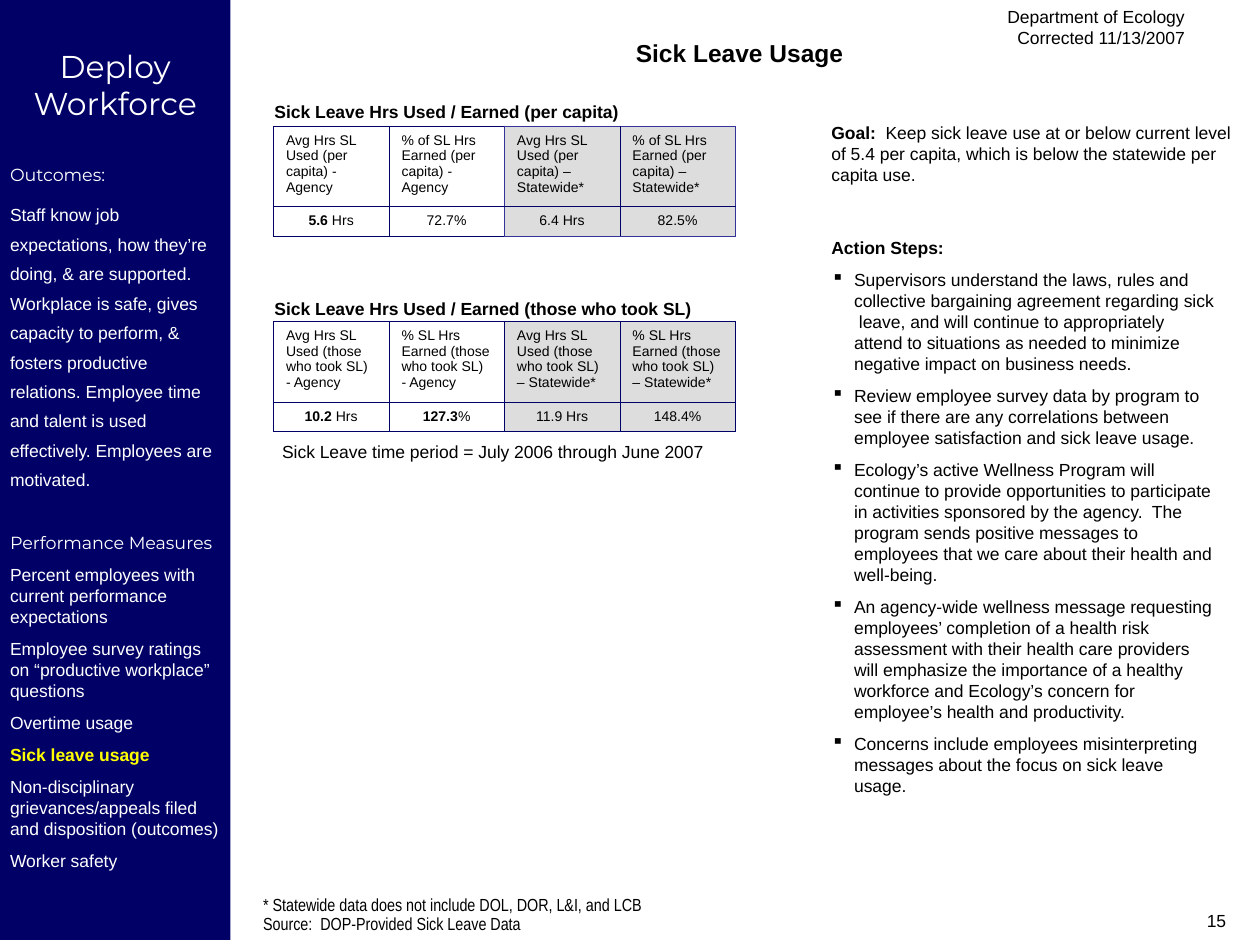
from dataclasses import dataclass
from typing import Optional

import pptx
import pptx.dml.color
import pptx.enum.shapes
import pptx.enum.text
import pptx.oxml
import pptx.oxml.ns
import pptx.util
from pptx.util import Inches

ALIGN = pptx.enum.text.PP_ALIGN
NAVY, INDIGO, GREY = "000066", "333399", "DDDDDD"
WHITE, BLACK, YELLOW = "FFFFFF", "000000", "FFFF00"
COL_W = 11 / 12
ROW_H = (0.64, 0.23)
HANG = 0.18


@dataclass
class Run:
    text: str
    bold: bool = False


@dataclass
class Para:
    runs: list[Run]
    size: float = 10
    font: str = "Arial"
    color: str = BLACK
    align: ALIGN = ALIGN.LEFT
    before: float = 0
    spacing: Optional[float] = None
    bullet: bool = False


@dataclass
class TextBox:
    frame: tuple[float, float, float, float]
    paras: list[Para]


@dataclass
class LeaveTable:
    col: int
    top: float
    heads: list[str]
    values: list[list[Run]]
    fill: str = WHITE
    edge: str = NAVY


def para(text: str, bold: bool = False, **style) -> Para:
    return Para([Run(text, bold)], **style)


def rgb(color: str) -> pptx.dml.color.RGBColor:
    return pptx.dml.color.RGBColor.from_string(color)


def add_bullet(p) -> None:
    pPr = p._p.get_or_add_pPr()
    pPr.set("marL", str(Inches(HANG)))
    pPr.set("indent", str(-Inches(HANG)))
    bu = pptx.oxml.parse_xml(f'<a:buChar {pptx.oxml.ns.nsdecls("a")} char="▪"/>')
    pPr.append(bu)


def write(tf, paras: list[Para]) -> None:
    tf.word_wrap = True
    for i, item in enumerate(paras):
        p = tf.add_paragraph() if i else tf.paragraphs[0]
        if item.bullet:
            add_bullet(p)
        p.alignment = item.align
        p.space_before = pptx.util.Pt(item.before)
        if item.spacing:
            p.line_spacing = item.spacing
        for run in item.runs:
            r = p.add_run()
            r.text = run.text
            r.font.size = pptx.util.Pt(item.size)
            r.font.name = item.font
            r.font.bold = run.bold
            r.font.color.rgb = rgb(item.color)


def add_text(s, box: TextBox) -> None:
    sp = s.shapes.add_textbox(*map(Inches, box.frame))
    write(sp.text_frame, box.paras)


def add_sidebar(s, paras: list[Para]) -> None:
    sp = s.shapes.add_shape(pptx.enum.shapes.MSO_SHAPE.RECTANGLE, 0, 0, Inches(1.83), Inches(7.46))
    sp.shadow.inherit = False
    sp.fill.solid()
    sp.fill.fore_color.rgb = rgb(NAVY)
    sp.line.fill.background()
    tf = sp.text_frame
    tf.vertical_anchor = pptx.enum.text.MSO_ANCHOR.TOP
    tf.margin_left = tf.margin_right = Inches(0.08)
    tf.margin_top, tf.margin_bottom = Inches(0.37), Inches(0.04)
    write(tf, paras)


def set_borders(cell, colors: dict[str, str]) -> None:
    tcPr = cell._tc.get_or_add_tcPr()
    for side, color in colors.items():
        tcPr.append(pptx.oxml.parse_xml(
            f'<a:ln{side} {pptx.oxml.ns.nsdecls("a")} w="{pptx.util.Pt(0.45)}">'
            f'<a:solidFill><a:srgbClr val="{color}"/></a:solidFill></a:ln{side}>'))


def add_leave_table(s, spec_: LeaveTable) -> None:
    """Draw a two-column table whose outer border may differ from its inner rules."""
    left = 2.17 + spec_.col * COL_W
    tbl = s.shapes.add_table(2, 2, Inches(left), Inches(spec_.top),
                             Inches(2 * COL_W), Inches(sum(ROW_H))).table
    tbl.first_row = tbl.horz_banding = False
    for row, height in zip(tbl.rows, ROW_H):
        row.height = Inches(height)
    for c in range(2):
        tbl.columns[c].width = Inches(COL_W)
        texts = (Para([Run(spec_.heads[c])], size=8),
                 Para(spec_.values[c], size=8, align=ALIGN.CENTER))
        for r, text in enumerate(texts):
            cell = tbl.cell(r, c)
            cell.margin_left = cell.margin_right = Inches(0.1)
            cell.margin_top = cell.margin_bottom = Inches(0.05)
            outer = {"L": c == 0, "R": c == 1, "T": r == 0, "B": r == 1}
            set_borders(cell, {k: spec_.edge if v else NAVY for k, v in outer.items()})
            cell.fill.solid()
            cell.fill.fore_color.rgb = rgb(spec_.fill)
            write(cell.text_frame, [text])


def side(text: str, bold: bool = False, **style) -> Para:
    return para(text, bold, **{"color": WHITE, "before": 6.2, **style})


SIDEBAR = [
    side("Deploy Workforce", size=18, font="Montserrat", align=ALIGN.CENTER, before=0),
    side("Outcomes:", font="Montserrat", before=24),
    side("Staff know job expectations, how they’re doing, & are supported. Workplace is safe, "
         "gives capacity to perform, & fosters productive relations. Employee time and talent "
         "is used effectively. Employees are motivated.", spacing=1.4),
    side("Performance Measures", font="Montserrat", before=24),
    side("Percent employees with current performance expectations"),
    side("Employee survey ratings on “productive workplace” questions"),
    side("Overtime usage"),
    side("Sick leave usage", True, color=YELLOW),
    side("Non-disciplinary grievances/appeals filed and disposition (outcomes)"),
    side("Worker safety"),
]

STEPS = [
    "Supervisors understand the laws, rules and collective bargaining agreement regarding sick  "
    "leave, and will continue to appropriately attend to situations as needed to minimize "
    "negative impact on business needs.",
    "Review employee survey data by program to see if there are any correlations between "
    "employee satisfaction and sick leave usage.",
    "Ecology’s active Wellness Program will continue to provide opportunities to participate in "
    "activities sponsored by the agency.  The program sends positive messages to employees that "
    "we care about their health and well-being.",
    "An agency-wide wellness message requesting employees’ completion of a health risk "
    "assessment with their health care providers will emphasize the importance of a healthy "
    "workforce and Ecology’s concern for employee’s health and productivity.",
    "Concerns include employees misinterpreting messages about the focus on sick leave usage.",
]

TEXTS = [
    TextBox((4.5, 0, 5, 0.25), [para("Department of Ecology", align=ALIGN.RIGHT),
                                para("Corrected 11/13/2007", align=ALIGN.RIGHT)]),
    TextBox((7.5, 7.17, 2.33, 0.33), [para("15", align=ALIGN.RIGHT)]),
    TextBox((6.5, 1.83, 3.25, 4.54), [para("Action Steps:", True)]
            + [para(step, before=6.2, bullet=True) for step in STEPS]),
    TextBox((2.08, 0.75, 3.17, 0.27), [para("Sick Leave Hrs Used / Earned (per capita)", True)]),
    TextBox((2.08, 2.32, 3.57, 0.27),
            [para("Sick Leave Hrs Used / Earned (those who took SL)", True)]),
    TextBox((2.14, 3.5, 3.78, 0.37),
            [para("Sick Leave time period = July 2006 through June 2007", spacing=0.7)]),
    TextBox((1.99, 7.09, 3.33, 0.37), [
        para("* Statewide data does not include DOL, DOR, L&I, and LCB",
             font="Arial Narrow", spacing=0.7),
        para("Source:  DOP-Provided Sick Leave Data",
             font="Arial Narrow", spacing=0.7, before=2.5)]),
    TextBox((1.83, 0.25, 8.08, 0.34),
            [para("Sick Leave Usage", True, size=14, align=ALIGN.CENTER)]),
    TextBox((6.5, 0.92, 3.5, 0.6), [Para([
        Run("Goal:  ", True),
        Run("Keep sick leave use at or below current level of 5.4 per capita, which is below "
            "the statewide per capita use.")])]),
]

CAPITA = ["Avg Hrs SL Used (per capita) ", "% of SL Hrs Earned (per capita) "]
TAKERS = ["Avg Hrs SL Used (those who took SL) ", "% SL Hrs Earned (those who took SL) "]
AGENCY, STATE = "- Agency", "– Statewide*"
TABLES = [
    LeaveTable(0, 1, [h + AGENCY for h in CAPITA],
               [[Run("5.6 ", True), Run("Hrs")], [Run("72.7%")]]),
    LeaveTable(2, 1, [h + STATE for h in CAPITA],
               [[Run("6.4 Hrs")], [Run("82.5%")]], GREY, INDIGO),
    LeaveTable(0, 2.55, [h + AGENCY for h in TAKERS],
               [[Run("10.2 ", True), Run("Hrs")], [Run("127.3", True), Run("%")]]),
    LeaveTable(2, 2.55, [h + STATE for h in TAKERS],
               [[Run("11.9 Hrs")], [Run("148.4%")]], GREY),
]


def main() -> None:
    prs = pptx.Presentation()
    prs.slide_width, prs.slide_height = Inches(10), Inches(7.5)
    s = prs.slides.add_slide(prs.slide_layouts[6])
    for box in TEXTS:
        add_text(s, box)
    add_sidebar(s, SIDEBAR)
    for table in TABLES:
        add_leave_table(s, table)
    prs.save("out.pptx")


if __name__ == "__main__":
    main()
